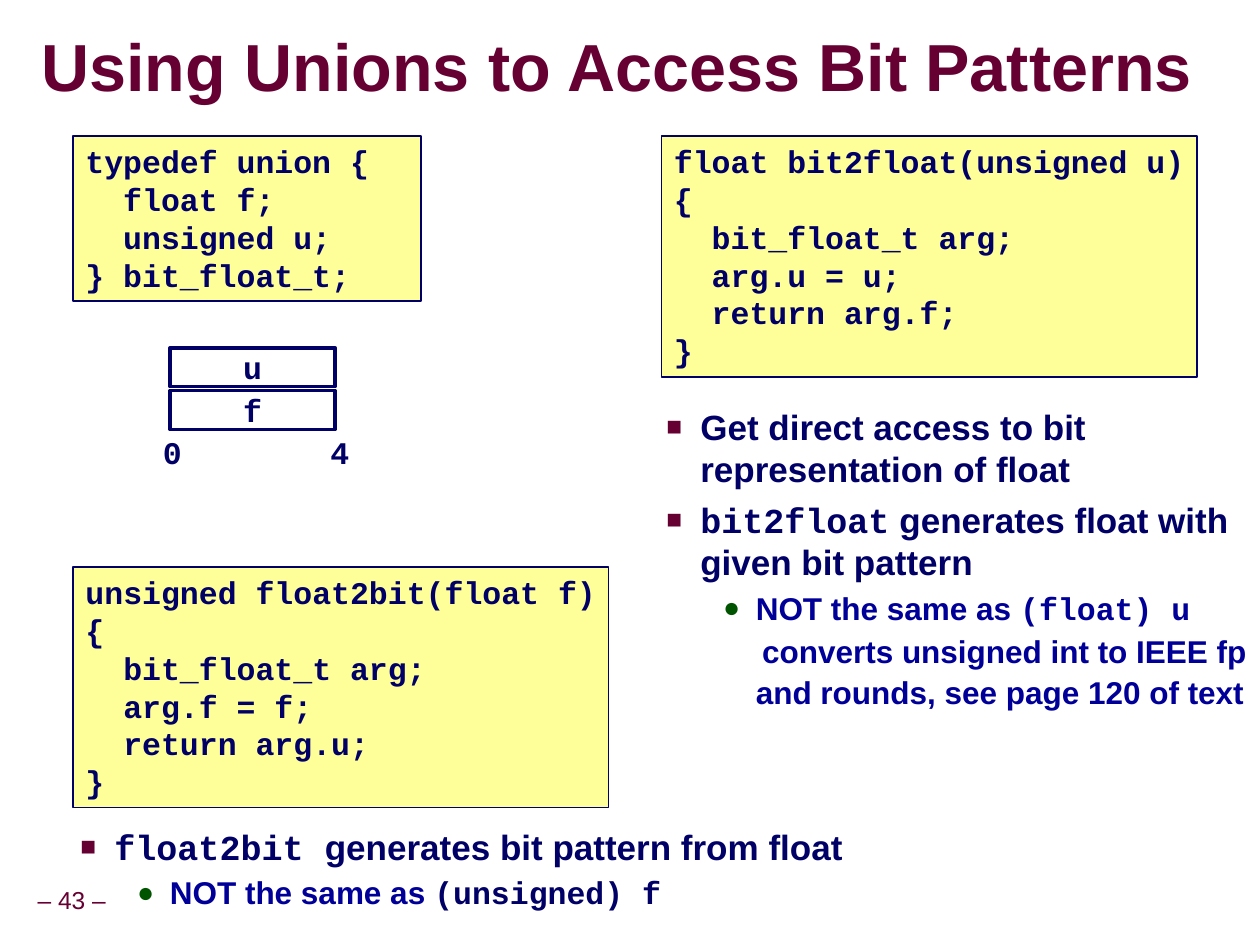
from dataclasses import dataclass
from lxml.etree import SubElement
from pptx import Presentation
from pptx.dml.color import RGBColor
from pptx.enum.shapes import MSO_SHAPE
from pptx.enum.text import MSO_ANCHOR, PP_ALIGN
from pptx.oxml.ns import qn
from pptx.util import Inches, Pt


@dataclass(frozen=True)
class Theme:
    sans: str = "Arial"
    mono: str = "Courier New"
    wine: str = "660033"
    navy: str = "000066"
    blue: str = "000099"
    green: str = "005400"
    cream: str = "FFFF99"
    white: str = "FFFFFF"
    title: int = 38
    main: int = 20
    code: int = 18
    foot: int = 14


THEME = Theme()


@dataclass(frozen=True)
class Level:
    left: float
    hang: float
    size: int
    color: str
    space: float
    gap: int
    mark: str
    tint: str
    scale: int


LEVELS = {
    1: Level(0.81, -0.27, THEME.main, THEME.navy, 1, 5, "■", THEME.wine, 75),
    2: Level(1.25, -0.26, THEME.code, THEME.blue, 1.07, 2, "●", THEME.green, 90),
}


def add_run(para, text, size, color, font=THEME.sans, bold=True):
    run = para.add_run()
    run.text = text
    run.font.name = font
    run.font.size = Pt(size)
    run.font.bold = bold
    run.font.color.rgb = RGBColor.from_string(color)
    return run


def set_frame(frame, wrap=True, anchor=MSO_ANCHOR.TOP, pad=(0.1, 0.05)):
    frame.word_wrap = wrap
    frame.vertical_anchor = anchor
    frame.margin_left = frame.margin_right = Inches(pad[0])
    frame.margin_top = frame.margin_bottom = Inches(pad[1])
    return frame


def add_text(slide, place, **style):
    box = slide.shapes.add_textbox(*map(Inches, place))
    return set_frame(box.text_frame, **style)


def add_rect(slide, place, fill, width, **style):
    rect = slide.shapes.add_shape(MSO_SHAPE.RECTANGLE, *map(Inches, place))
    rect.shadow.inherit = False
    rect.fill.solid()
    rect.fill.fore_color.rgb = RGBColor.from_string(fill)
    rect.line.color.rgb = RGBColor.from_string(THEME.navy)
    rect.line.width = Pt(width)
    return set_frame(rect.text_frame, **style)


def add_code(slide, place, lines):
    frame = add_rect(slide, place, THEME.cream, 1)
    for index, line in enumerate(lines):
        para = frame.add_paragraph() if index else frame.paragraphs[0]
        para.alignment = PP_ALIGN.LEFT
        add_run(para, line, THEME.code, THEME.navy, THEME.mono)


def add_cell(slide, top, name):
    frame = add_rect(slide, (1.35, top, 1.31, 0.31), THEME.white, 2,
                     wrap=False, anchor=MSO_ANCHOR.MIDDLE)
    para = frame.paragraphs[0]
    para.alignment = PP_ALIGN.CENTER
    add_run(para, name, THEME.code, THEME.navy, THEME.mono)


def add_mark(slide, left, text):
    para = add_text(slide, (left, 3.39, 0.35, 0.4), wrap=False).paragraphs[0]
    para.alignment = PP_ALIGN.RIGHT
    add_run(para, text, THEME.code, THEME.navy, THEME.mono)


def add_list(slide, place, items):
    frame = add_text(slide, place)
    for index, (depth, marked, parts) in enumerate(items):
        para = frame.add_paragraph() if index else frame.paragraphs[0]
        level = LEVELS[depth]
        para.level = depth
        para.line_spacing = level.space
        para.space_before = Pt(level.gap)
        props = para._p.get_or_add_pPr()
        props.set("marL", str(Inches(level.left)))
        props.set("indent", str(Inches(level.hang if marked else 0.05)))
        if marked:
            tint = SubElement(props, qn("a:buClr"))
            SubElement(tint, qn("a:srgbClr"), val=level.tint)
            SubElement(props, qn("a:buSzPct"), val=str(level.scale * 1000))
            SubElement(props, qn("a:buFont"), typeface=THEME.sans)
            SubElement(props, qn("a:buChar"), char=level.mark)
        else:
            SubElement(props, qn("a:buNone"))
        for text, font, color in parts:
            add_run(para, text, level.size, color or level.color, font)


def add_title(slide, text):
    frame = add_text(slide, (0.33, 0.25, 9.34, 0.63),
                     anchor=MSO_ANCHOR.MIDDLE, pad=(0, 0))
    para = frame.paragraphs[0]
    para.line_spacing = 0.87
    run = add_run(para, text, THEME.title, THEME.wine)
    glow = SubElement(run.font._element, qn("a:effectLst"))
    run.font.fill._xPr.find(qn("a:solidFill")).addnext(glow)
    shade = SubElement(glow, qn("a:outerShdw"), blurRad="38100",
                       dist="38100", dir="2700000", algn="tl")
    SubElement(shade, qn("a:srgbClr"), val="C0C0C0")


def add_foot(slide, text):
    frame = add_text(slide, (0.24, 7, 0.66, 0.31), wrap=False,
                     anchor=MSO_ANCHOR.MIDDLE, pad=(0.05, 0.05))
    para = frame.paragraphs[0]
    para.alignment = PP_ALIGN.CENTER
    para.line_spacing = 0.9
    add_run(para, text, THEME.foot, THEME.wine, bold=False)


def add_cast(slide, place, result, name, source, target):
    add_code(slide, place, [
        f"{result} {name} {{", "  bit_float_t arg;",
        f"  arg.{source} = {source};", f"  return arg.{target};", "}"])


def main():
    deck = Presentation()
    deck.slide_width, deck.slide_height = Inches(10), Inches(7.5)
    slide = deck.slides.add_slide(deck.slide_layouts[6])
    sans, mono = THEME.sans, THEME.mono

    add_foot(slide, "– 43 –")
    add_code(slide, (0.58, 1.08, 2.76, 1.31), [
        "typedef union {", "  float f;", "  unsigned u;", "} bit_float_t;"])
    add_cast(slide, (5.25, 1.08, 4.25, 1.91),
             "float", "bit2float(unsigned u)", "u", "f")
    for row, name in enumerate("uf"):
        add_cell(slide, 2.76 + row * 0.34, name)
    for left, text in ((1.19, "0"), (2.52, "4")):
        add_mark(slide, left, text)
    add_cast(slide, (0.58, 4.5, 4.25, 1.91),
             "unsigned", "float2bit(float f)", "f", "u")
    add_title(slide, "Using Unions to Access Bit Patterns")
    add_list(slide, (4.65, 3.17, 5.35, 2.6), [
        (1, True, [("Get direct access to bit representation of float", sans, None)]),
        (1, True, [("bit2float", mono, None),
                   (" generates float with given bit pattern", sans, None)]),
        (2, True, [("NOT the same as ", sans, None), ("(float) u", mono, None)]),
        (2, False, [("converts unsigned int to IEEE fp and rounds, "
                     "see page 120 of text", sans, None)]),
    ])
    add_list(slide, (0, 6.5, 8.35, 1), [
        (1, True, [("float2bit ", mono, None),
                   ("generates bit pattern from float", sans, None)]),
        (2, True, [("NOT the same as ", sans, None),
                   ("(unsigned) f", mono, THEME.navy)]),
    ])
    deck.save("out.pptx")


if __name__ == "__main__":
    main()
